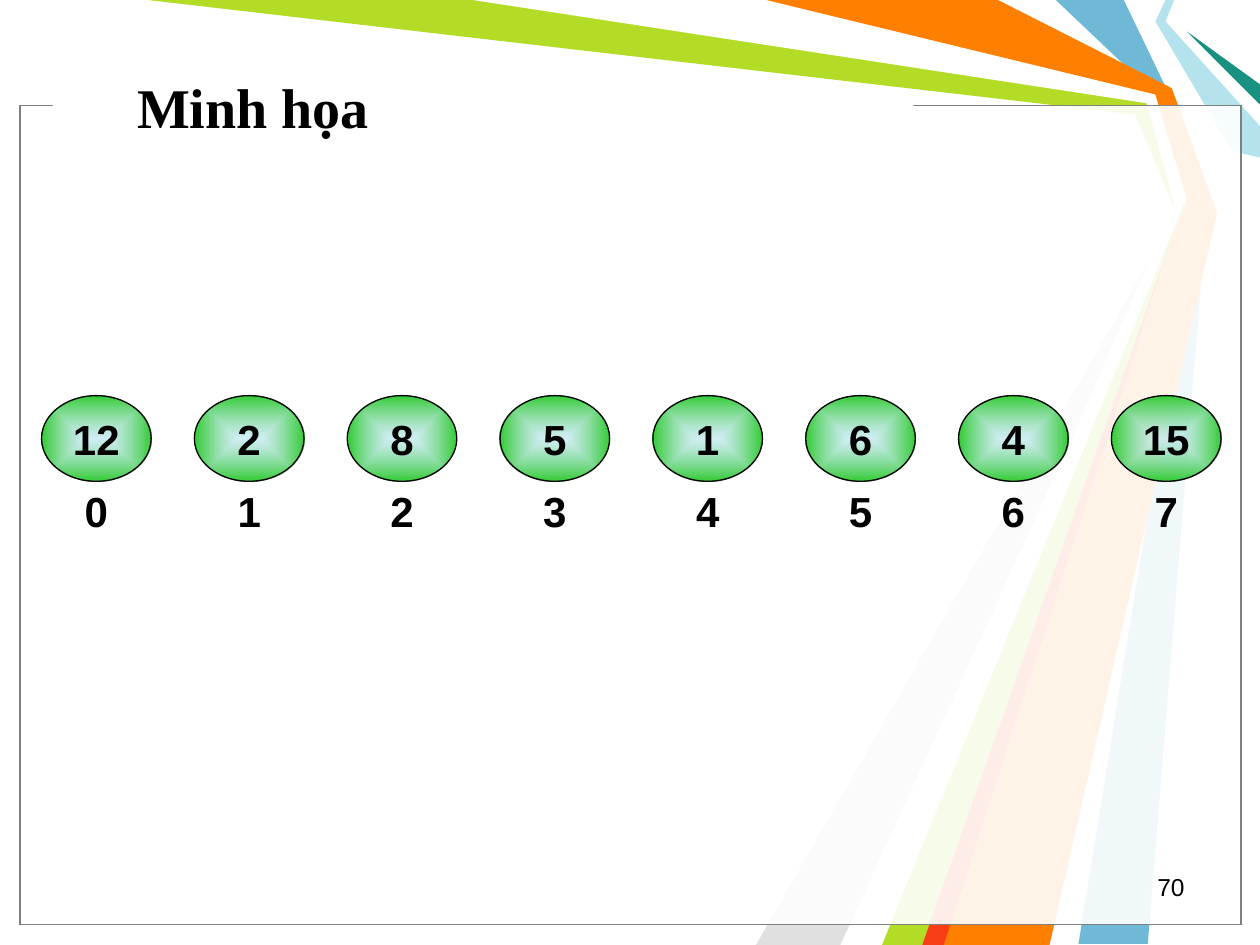
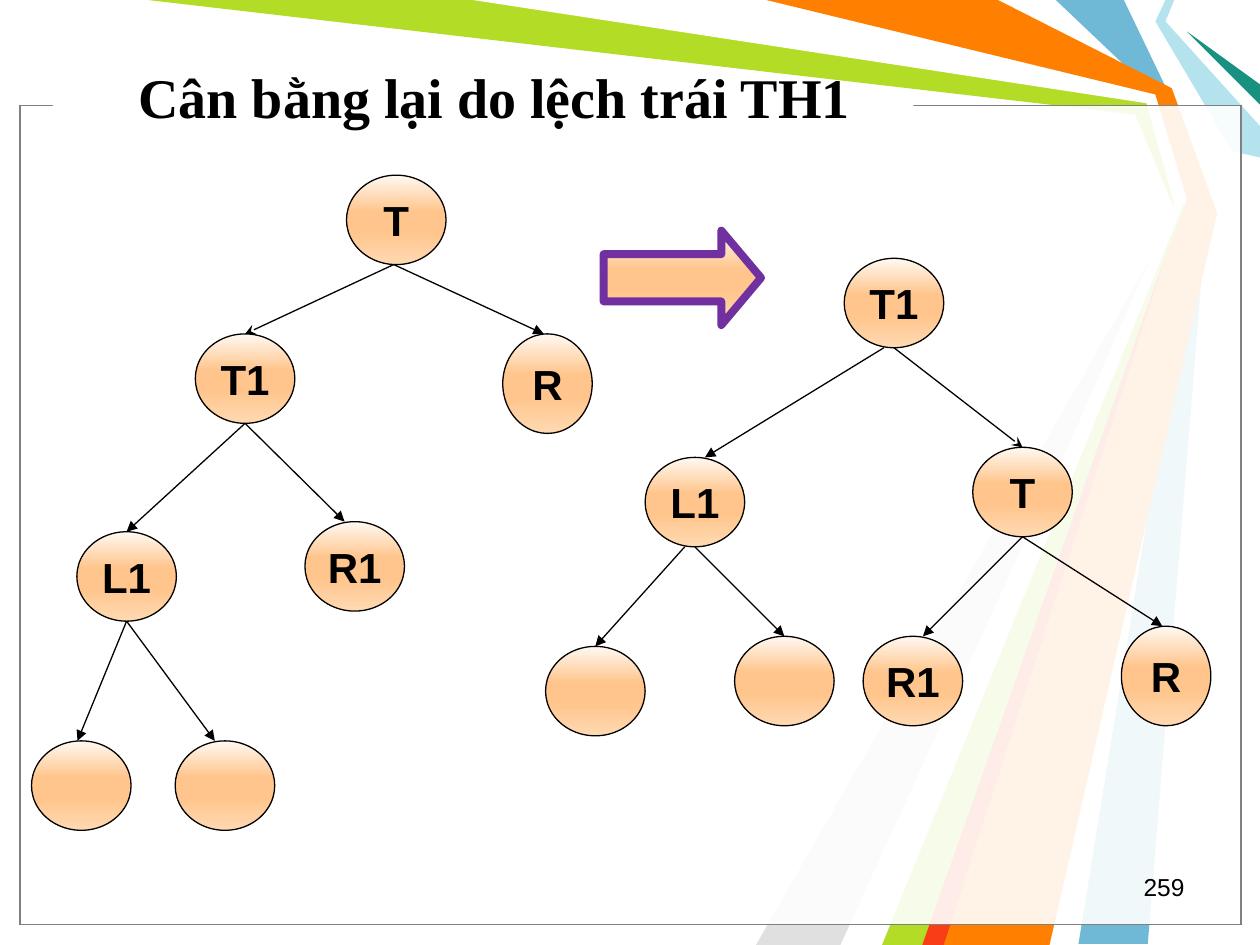
from dataclasses import dataclass

from lxml import etree
from pptx import Presentation
from pptx.dml.color import RGBColor
from pptx.enum.shapes import MSO_CONNECTOR, MSO_SHAPE
from pptx.enum.text import MSO_ANCHOR, PP_ALIGN
from pptx.oxml import parse_xml
from pptx.oxml.ns import nsdecls, qn
from pptx.util import Inches, Pt

RECT, OVAL, ARROW = MSO_SHAPE.RECTANGLE, MSO_SHAPE.OVAL, MSO_SHAPE.RIGHT_ARROW
STRAIGHT = MSO_CONNECTOR.STRAIGHT
TOP, MIDDLE = MSO_ANCHOR.TOP, MSO_ANCHOR.MIDDLE
LEFT, CENTER, RIGHT = PP_ALIGN.LEFT, PP_ALIGN.CENTER, PP_ALIGN.RIGHT


@dataclass(frozen=True)
class Theme:
    black: str = "000000"
    white: str = "FFFFFF"
    gray: str = "808080"
    silver: str = "E0E0E0"
    blue: str = "6FB9D7"
    lime: str = "B3DC27"
    sky: str = "B4E3EE"
    teal: str = "189180"
    orange: str = "FF7F00"
    red: str = "F93D17"
    green: str = "33CC33"
    purple: str = "7030A0"
    # Gradient stops: position, colour, opacity (all percentages)
    peach: tuple = ((0, "FFF9F2", 100), (41, "FFC58C", 100),
                    (63, "FFC58C", 100), (100, "FFD9B2", 100))
    glow: tuple = ((0, "B4E3EE", 60), (100, "33CC33", 100))
    title_font: str = "Times New Roman"
    body_font: str = "Arial"
    title_size: int = 32
    node_size: int = 24
    number_size: int = 14
    thin: float = 0.75
    thick: float = 4.5


T = Theme()

LINEAR = '<a:lin ang="5400000" scaled="1"/>'
RADIAL = ('<a:path path="shape"><a:fillToRect l="50000" t="50000" '
          'r="50000" b="50000"/></a:path>')

# Background ribbons, back to front
RIBBONS = [
    (T.blue, [(8.92, 0), (9.29, 0.77), (9.58, 1.67), (9.11, 7.49),
              (8.56, 7.49), (9.5, 1.67), (9.17, 0.75), (8.38, 0)]),
    (T.lime, [(1.17, 0), (3.83, 0), (9.14, 0.78), (9.42, 1.69),
              (7.42, 7.5), (6.92, 7.5), (9.35, 1.73), (9.01, 0.91)]),
    (T.silver, [(6.67, 7.5), (9.27, 1.81), (6, 7.5)]),
    (T.white, [(3.75, 0), (9.1, 0.82), (9.32, 1.62), (6.75, 7.5), (7, 7.5),
               (9.41, 1.58), (9.17, 0.75), (6, 0)]),
    (T.sky, [(9.25, 0), (9.17, 0.17), (9.78, 1.2), (10, 1.25), (10, 1),
             (9.25, 0.17), (9.32, 0)]),
    (T.teal, [(10, 0.83), (9.42, 0.25), (10, 0.67)]),
    (T.orange, [(6.08, 0), (7.92, 0), (9.3, 0.7), (9.66, 1.69), (8.33, 7.5),
                (7.33, 7.5), (9.42, 1.58), (9.17, 0.75)]),
    (T.red, [(7.32, 7.5), (9.32, 1.83), (7.49, 7.5)]),
]

ARRAY_VALUES = [12, 2, 8, 5, 1, 6, 4, 15]

# Tree nodes: key -> (left, top); "R" is the tall one, LL and LR are unlabelled
TREE_BEFORE = {"T": (2.75, 1.39), "R": (3.99, 2.65), "T1": (1.55, 2.65),
               "R1": (2.42, 4.14), "L1": (0.61, 4.22),
               "LR": (1.39, 5.88), "LL": (0.25, 5.88)}
TREE_AFTER = {"T": (7.72, 3.55), "R": (8.9, 4.97), "T1": (6.7, 2.05),
              "R1": (6.85, 5.05), "L1": (5.12, 3.63),
              "LR": (5.83, 5.05), "LL": (4.33, 5.13)}
UNLABELLED = ("LL", "LR")

# Edges: parent, child, shift of start, shift of end, arrowhead
EDGES_BEFORE = [("T", "T1", -0.02, 0, "stealth"),
                ("T", "R", -0.02, -0.03, "triangle"),
                ("T1", "R1", 0, -0.08, "triangle"),
                ("T1", "L1", 0, 0, "triangle"),
                ("L1", "LL", 0, -0.03, "triangle"),
                ("L1", "LR", 0, -0.08, "triangle")]
EDGES_AFTER = [("T1", "T", 0, 0, "stealth"),
               ("T", "R", 0, -0.03, "triangle"),
               ("T", "R1", 0, 0.08, "triangle"),
               ("T1", "L1", -0.08, 0.08, "triangle"),
               ("L1", "LL", -0.08, 0, "triangle"),
               ("L1", "LR", 0, 0, "triangle")]


def rgb(color):
    return RGBColor.from_string(color)


def set_fill(sp, color, opacity=100):
    sp.fill.solid()
    sp.fill.fore_color.rgb = rgb(color)
    if opacity < 100:
        clr = sp._element.spPr.find(qn("a:solidFill"))[0]
        etree.SubElement(clr, qn("a:alpha")).set("val", str(opacity * 1000))


def set_gradient(sp, stops, direction):
    stop_xml = "".join(
        f'<a:gs pos="{pos * 1000}"><a:srgbClr val="{color}">'
        f'<a:alpha val="{opacity * 1000}"/></a:srgbClr></a:gs>'
        for pos, color, opacity in stops)
    sp.fill.gradient()
    sp_pr = sp._element.spPr
    sp_pr.replace(sp_pr.find(qn("a:gradFill")), parse_xml(
        f'<a:gradFill {nsdecls("a")} rotWithShape="1">'
        f'<a:gsLst>{stop_xml}</a:gsLst>{direction}</a:gradFill>'))


def set_line(sp, color=None, width=T.thin):
    if color is None:
        sp.line.fill.background()
    else:
        sp.line.color.rgb = rgb(color)
        sp.line.width = Pt(width)


def add_preset(slide, kind, box, line=None, width=T.thin):
    sp = slide.shapes.add_shape(kind, *map(Inches, box))
    sp.shadow.inherit = False
    set_line(sp, line, width)
    return sp


def write(sp, text, size, font=T.body_font, bold=True, align=CENTER,
          anchor=MIDDLE, margins=(0, 0), wrap=True):
    tf = sp.text_frame
    tf.word_wrap = wrap
    tf.vertical_anchor = anchor
    tf.margin_left = tf.margin_right = Inches(margins[0])
    tf.margin_top = tf.margin_bottom = Inches(margins[1])
    p = tf.paragraphs[0]
    p.alignment = align
    r = p.add_run()
    r.text = text
    r.font.name, r.font.size, r.font.bold = font, Pt(size), bold
    r.font.color.rgb = rgb(T.black)


def add_text(slide, box, text, size, **style):
    sp = slide.shapes.add_textbox(*map(Inches, box))
    write(sp, text, size, **style)


def add_ribbon(slide, color, points):
    start, *rest = [(Inches(x), Inches(y)) for x, y in points]
    builder = slide.shapes.build_freeform(*start)
    builder.add_line_segments(rest, close=True)
    sp = builder.convert_to_shape()
    sp.shadow.inherit = False
    set_fill(sp, color)
    set_line(sp)


def add_arrow_line(slide, start, end, head):
    cxn = slide.shapes.add_connector(STRAIGHT, *map(Inches, (*start, *end)))
    set_line(cxn, T.black)
    etree.SubElement(cxn.line._get_or_add_ln(), qn("a:tailEnd")).set("type", head)
    etree.SubElement(cxn._element.spPr, qn("a:effectLst"))


def add_base(prs, title, title_box, number):
    """Blank slide with ribbons, frame, title and slide number."""
    slide = prs.slides.add_slide(prs.slide_layouts[6])
    for color, points in RIBBONS:
        add_ribbon(slide, color, points)
    # Two translucent panels, then a gap in the frame behind the title
    for line in (T.black, T.gray):
        panel = add_preset(slide, RECT, (0.16, 0.84, 9.69, 6.5), line)
        set_fill(panel, T.white, 69)
    set_fill(add_preset(slide, RECT, (0.42, 0.74, 6.83, 0.17)), T.white)
    add_text(slide, title_box, title, T.title_size, font=T.title_font,
             align=LEFT, margins=(0.1, 0.05))
    add_text(slide, (7.17, 6.87, 2.33, 0.33), number, T.number_size,
             bold=False, align=RIGHT, anchor=TOP, margins=(0.1, 0.05))
    return slide


def add_array(slide, values):
    left, pitch, width = 0.33, 1.213, 0.87
    for index, value in enumerate(values):
        x = left + index * pitch
        cell = add_preset(slide, OVAL, (x, 3.14, width, 0.68), T.black)
        set_gradient(cell, T.glow, RADIAL)
        write(cell, str(value), T.node_size, wrap=False)
        add_text(slide, (x, 3.72, width, 0.66), str(index), T.node_size)


def node_size(key):
    return (0.71, 0.79) if key == "R" else (0.79, 0.71)


def add_tree(slide, nodes, edges):
    for key, place in nodes.items():
        node = add_preset(slide, OVAL, (*place, *node_size(key)), T.black)
        set_gradient(node, T.peach, LINEAR)
        if key not in UNLABELLED:
            write(node, key, T.node_size, wrap=False)
    for parent, child, start_shift, end_shift, head in edges:
        (px, py), (pw, ph) = nodes[parent], node_size(parent)
        (cx, cy), (cw, _) = nodes[child], node_size(child)
        add_arrow_line(slide, (px + pw / 2 + start_shift, py + ph),
                       (cx + cw / 2 + end_shift, cy), head)


def main():
    prs = Presentation()
    prs.slide_width, prs.slide_height = Inches(10), Inches(7.5)

    # Array of values with their indices
    slide = add_base(prs, "Minh họa", (0.99, 0.22, 6.89, 1.25), "70")
    add_array(slide, ARRAY_VALUES)

    # Tree before and after the rotation
    slide = add_base(prs, "Cân bằng lại do lệch trái TH1",
                     (1, 0.5, 6.89, 0.53), "259")
    add_tree(slide, TREE_BEFORE, EDGES_BEFORE)
    add_tree(slide, TREE_AFTER, EDGES_AFTER)
    arrow = add_preset(slide, ARROW, (4.79, 1.83, 1.25, 0.75), T.purple, T.thick)
    arrow.adjustments[0], arrow.adjustments[1] = 0.5, 0.42
    set_gradient(arrow, T.peach, LINEAR)

    prs.save("out.pptx")


if __name__ == "__main__":
    main()
